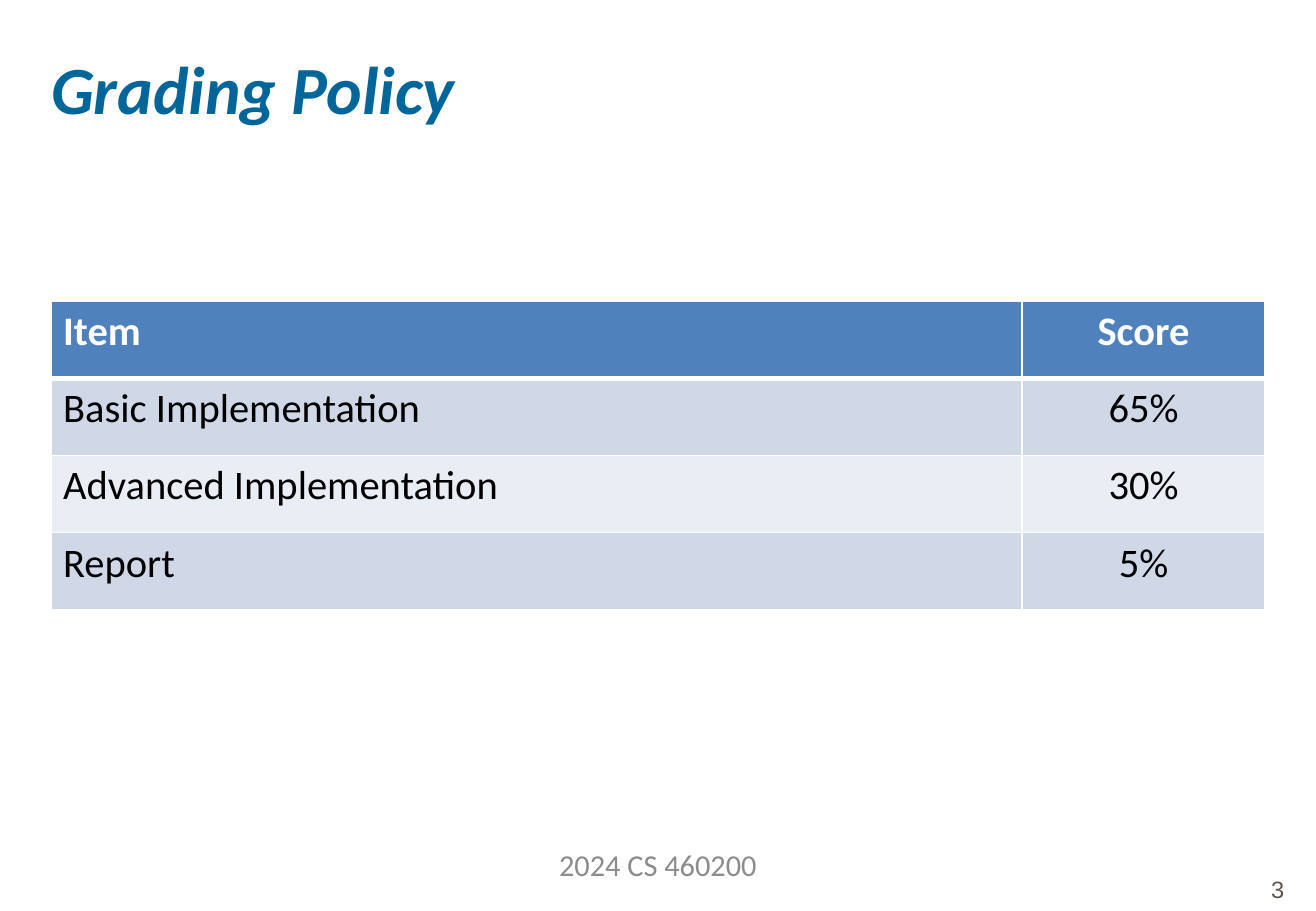
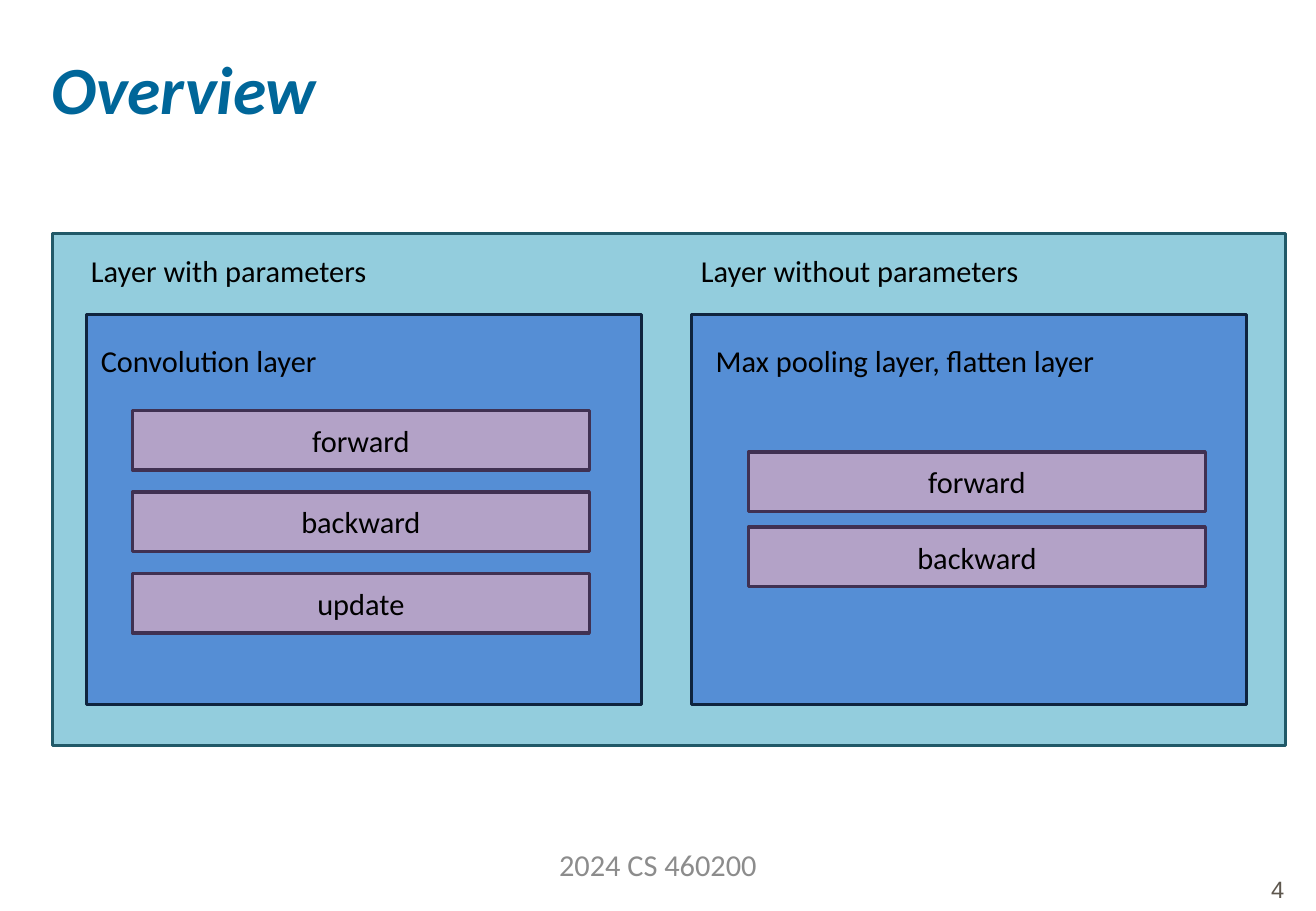
from lxml import etree
from pptx import Presentation
from pptx.dml.color import RGBColor
from pptx.enum.shapes import MSO_SHAPE
from pptx.enum.text import MSO_ANCHOR, MSO_AUTO_SIZE, PP_ALIGN
from pptx.oxml.ns import qn
from pptx.util import Pt

PX = 9144  # EMU in one px: 100 px to the inch
WIDTH, HEIGHT = 1083, 750
LEFT, CENTER = PP_ALIGN.LEFT, PP_ALIGN.CENTER
TOP, MIDDLE = MSO_ANCHOR.TOP, MSO_ANCHOR.MIDDLE
RECT = MSO_SHAPE.RECTANGLE
NO_FIT = MSO_AUTO_SIZE.NONE

FONT, NUMBER_FONT = "Calibri", "Arial"
BLACK, WHITE = "000000", "FFFFFF"
TITLE_BLUE, FOOTER_GREY, NUMBER_GREY = "006699", "8C8C8C", "5E574E"
HEADER_BLUE, BANDS = "4F81BD", ("D0D8E8", "E9EDF4")
FRAME_STYLE = ("93CDDD", "215968")
PANEL_STYLE = ("558ED5", "0F243E")
BAR_STYLE = ("B3A2C7", "403152")


def rgb(color):
    return RGBColor.from_string(color)


def px(*lengths):
    return [n * PX for n in lengths]


def write(tf, text, size, color=BLACK, align=LEFT, anchor=TOP,
          margins=(10, 5, 10, 5), font=FONT, bold=False, italic=False):
    """Put one formatted line in a text frame; margins run left, top, right, bottom."""
    tf.word_wrap = True
    tf.auto_size = NO_FIT
    tf.vertical_anchor = anchor
    (tf.margin_left, tf.margin_top,
     tf.margin_right, tf.margin_bottom) = px(*margins)
    p = tf.paragraphs[0]
    p.alignment = align
    r = p.add_run()
    r.text = text
    r.font.name, r.font.size = font, Pt(size)
    r.font.bold, r.font.italic = bold, italic
    r.font.color.rgb = rgb(color)
    return p


def add_text(s, box, text, size, **style):
    return write(s.shapes.add_textbox(*px(*box)).text_frame, text, size, **style)


def add_rect(s, box, style):
    fill, line = style
    sp = s.shapes.add_shape(RECT, *px(*box))
    sp.shadow.inherit = False
    sp.fill.solid()
    sp.fill.fore_color.rgb = rgb(fill)
    sp.line.color.rgb = rgb(line)
    sp.line.width = Pt(2)
    return sp


def add_slide(prs, title, number):
    """Add a slide with the shared title, footer and page number."""
    s = prs.slides.add_slide(prs.slide_layouts[5])
    sp = s.shapes.title
    sp.left, sp.top, sp.width, sp.height = px(42, 39, 999, 69)
    flush = (0, 0, 0, 0)
    write(sp.text_frame, title, 40, color=TITLE_BLUE, margins=flush,
          bold=True, italic=True)
    add_text(s, (368, 697, 347, 38), "2024 CS 460200", 18,
             color=FOOTER_GREY, align=CENTER, margins=flush)
    p = add_text(s, (1042, 721, 36, 25), str(number), 14,
                 color=NUMBER_GREY, margins=(4, 0, 0, 0), font=NUMBER_FONT)
    p.line_spacing = Pt(16.5)
    return s


def add_border(cell, side, width):
    ln = etree.SubElement(cell._tc.get_or_add_tcPr(), qn(f"a:ln{side}"),
                          w=str(Pt(width)))
    fill = etree.SubElement(ln, qn("a:solidFill"))
    etree.SubElement(fill, qn("a:srgbClr"), val=WHITE)


def add_score_table(s, box, rows, shares):
    """Draw a banded table; shares are the relative column widths."""
    x, y, w, h = box
    table = s.shapes.add_table(len(rows), len(shares), *px(x, y, w, h)).table
    for column, share in zip(table.columns, shares):
        column.width = w * PX * share // sum(shares)
    for i, row in enumerate(rows):
        table.rows[i].height = h * PX // len(rows)
        header = i == 0
        for j, text in enumerate(row):
            cell = table.cell(i, j)
            for side in "LRTB":
                thick = (header and side == "B") or (i == 1 and side == "T")
                add_border(cell, side, 3 if thick else 1)
            cell.fill.solid()
            cell.fill.fore_color.rgb = rgb(
                HEADER_BLUE if header else BANDS[(i - 1) % 2])
            p = cell.text_frame.paragraphs[0]
            p.alignment = CENTER if j else LEFT
            r = p.add_run()
            r.text = text
            r.font.name, r.font.size, r.font.bold = FONT, Pt(24), header
            r.font.color.rgb = rgb(WHITE if header else BLACK)


def add_layer_panel(s, box, name, name_left, methods, bars_at, step):
    """Draw a named panel with a column of method bars starting at bars_at."""
    x, y, w, h = box
    panel = add_rect(s, box, PANEL_STYLE)
    write(panel.text_frame, name, 18, margins=(name_left, 23, 10, 5))
    bar_left, bar_top = bars_at
    for i, method in enumerate(methods):
        bar = add_rect(s, (x + bar_left, y + bar_top + i * step, 376, 49),
                       BAR_STYLE)
        write(bar.text_frame, method, 18, align=CENTER, anchor=MIDDLE)


def add_layer_diagram(s, box):
    x, y, w, h = box
    add_rect(s, box, FRAME_STYLE)
    for label, left in (("Layer with parameters", 22),
                        ("Layer without parameters", 524)):
        add_text(s, (x + left, y + 11, 300, 40), label, 18)
    panel_top, panel_size = y + 67, (457, 321)
    add_layer_panel(s, (x + 28, panel_top, *panel_size), "Convolution layer",
                    12, ("forward", "backward", "update"), (38, 79), 67)
    add_layer_panel(s, (x + 526, panel_top, *panel_size),
                    "Max pooling layer, flatten layer",
                    20, ("forward", "backward"), (47, 113), 62)


def main():
    prs = Presentation()
    prs.slide_width, prs.slide_height = px(WIDTH, HEIGHT)

    s = add_slide(prs, "Grading Policy", 3)
    add_score_table(s, (42, 248, 999, 254), (
        ("Item", "Score"),
        ("Basic Implementation", "65%"),
        ("Advanced Implementation", "30%"),
        ("Report", "5%"),
    ), (4, 1))

    s = add_slide(prs, "Overview", 4)
    add_layer_diagram(s, (43, 192, 1015, 422))

    prs.save("out.pptx")


if __name__ == "__main__":
    main()
